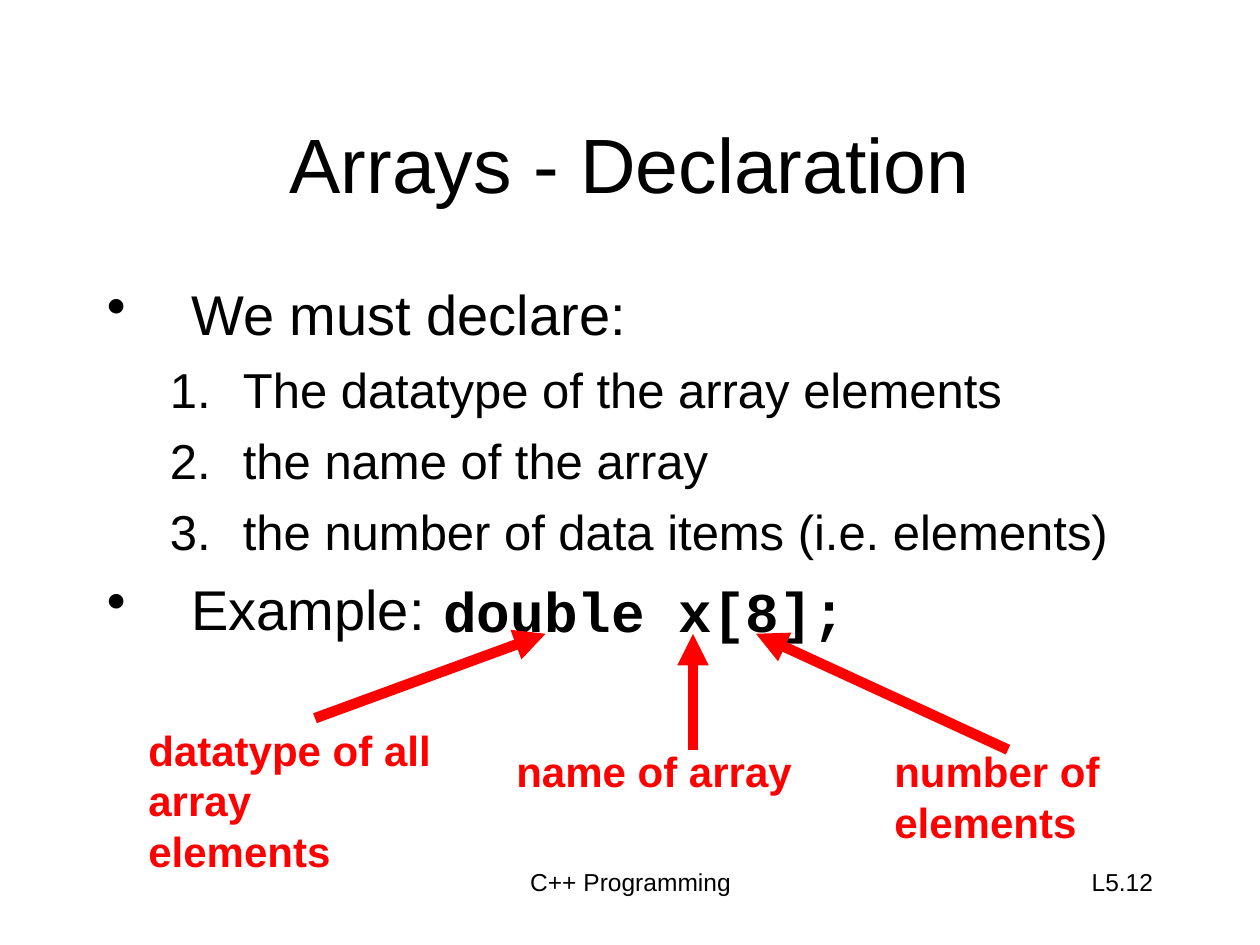
from lxml import etree
from pptx import Presentation
from pptx.dml.color import RGBColor
from pptx.enum.shapes import MSO_CONNECTOR, MSO_SHAPE
from pptx.enum.text import MSO_ANCHOR, PP_ALIGN
from pptx.oxml.ns import qn
from pptx.util import Inches, Pt

LEFT, CENTER, RIGHT = PP_ALIGN.LEFT, PP_ALIGN.CENTER, PP_ALIGN.RIGHT
TOP, MIDDLE = MSO_ANCHOR.TOP, MSO_ANCHOR.MIDDLE
STRAIGHT, RECTANGLE = MSO_CONNECTOR.STRAIGHT, MSO_SHAPE.RECTANGLE

BLACK = RGBColor(0x00, 0x00, 0x00)
WHITE = RGBColor(0xFF, 0xFF, 0xFF)
RED = RGBColor(0xFF, 0x00, 0x00)
SANS, MONO = "Arial", "Courier New"

DECLARATION_POINTS = [
    (0, "We must declare:"),
    (1, "The datatype of the array elements"),
    (1, "the name of the array"),
    (1, "the number of data items (i.e. elements)"),
    (0, "Example:"),
]
# Per level: text indent, hanging indent, size, space before, bullet tag and attributes
LEVELS = [
    (0.67, 0.67, 32, 8, "a:buChar", {"char": "•"}),
    (1.08, 0.58, 28, 7, "a:buAutoNum", {"type": "arabicPeriod"}),
]
# Label text, its box, and the start and end of its arrow
CALLOUTS = [
    ("datatype of all array elements", (1.08, 5.7, 2.5, 1.3), (2.5, 5.7), (4.33, 5.03)),
    ("name of array", (4, 5.87, 2.5, 0.5), (5.5, 5.95), (5.5, 5.03)),
    ("number of elements", (7, 5.87, 2.5, 0.9), (8, 5.95), (6, 5.03)),
]


def inches(values):
    """Convert a sequence of numbers to lengths."""
    return [Inches(value) for value in values]


def style(paragraph, size, color=BLACK, font=SANS, bold=False, align=LEFT, before=0):
    """Set the font, alignment and spacing of a paragraph."""
    paragraph.font.size = Pt(size)
    paragraph.font.name = font
    paragraph.font.bold = bold
    paragraph.font.color.rgb = color
    paragraph.alignment = align
    paragraph.space_before = Pt(before)


def add_title(slide, text, box):
    """Place and fill the title placeholder."""
    title = slide.shapes.title
    title.left, title.top, title.width, title.height = inches(box)
    title.text_frame.text = text
    title.text_frame.vertical_anchor = MIDDLE
    style(title.text_frame.paragraphs[0], 44, align=CENTER)


def add_text(slide, text, box, size, **look):
    """Add a text box with one paragraph."""
    frame = slide.shapes.add_textbox(*inches(box)).text_frame
    frame.word_wrap = True
    frame.text = text
    style(frame.paragraphs[0], size, **look)


def add_list(slide, points, box):
    """Add the bulleted and numbered outline."""
    frame = slide.shapes.add_textbox(*inches(box)).text_frame
    frame.word_wrap = True
    for index, (level, text) in enumerate(points):
        indent, hanging, size, before, bullet, attributes = LEVELS[level]
        point = frame.add_paragraph() if index else frame.paragraphs[0]
        point.text = text
        point.level = level
        style(point, size, before=before)
        properties = point._p.get_or_add_pPr()
        properties.set("marL", str(Inches(indent)))
        properties.set("indent", str(-Inches(hanging)))
        mark = etree.Element(qn(bullet), attributes)
        properties.find(qn("a:defRPr")).addprevious(mark)


def add_label(slide, text, box):
    """Add a white box with a red explanation."""
    label = slide.shapes.add_shape(RECTANGLE, *inches(box))
    label.shadow.inherit = False
    label.fill.solid()
    label.fill.fore_color.rgb = WHITE
    label.line.fill.background()
    frame = label.text_frame
    frame.word_wrap = True
    frame.vertical_anchor = TOP
    frame.text = text
    style(frame.paragraphs[0], 24, color=RED, bold=True, before=15)


def add_arrow(slide, start, end):
    """Add a thick red arrow from start to end."""
    arrow = slide.shapes.add_connector(STRAIGHT, *inches(start + end))
    arrow.line.color.rgb = RED
    arrow.line.width = Pt(6)
    etree.SubElement(arrow.line._get_or_add_ln(), qn("a:tailEnd"), type="triangle")
    etree.SubElement(arrow._element.spPr, qn("a:effectLst"))


def main():
    """Build and save the slide."""
    deck = Presentation()
    deck.slide_width, deck.slide_height = inches((10, 7.5))
    slide = deck.slides.add_slide(deck.slide_layouts[5])

    add_title(slide, "Arrays - Declaration", (0.75, 0.67, 8.5, 1.25))
    add_list(slide, DECLARATION_POINTS, (0.75, 2.17, 8.5, 4.5))
    for text, box, _, _ in CALLOUTS:
        add_label(slide, text, box)
    add_text(slide, "double x[8];", (3.42, 4.53, 3.83, 0.64), 32,
             font=MONO, bold=True, before=20)
    for _, _, start, end in CALLOUTS:
        add_arrow(slide, start, end)
    add_text(slide, "C++ Programming", (2.92, 6.83, 4.17, 0.5), 14, align=CENTER)
    add_text(slide, "L5.12", (7.17, 6.83, 2.08, 0.5), 14, align=RIGHT)

    deck.save("out.pptx")


main()
